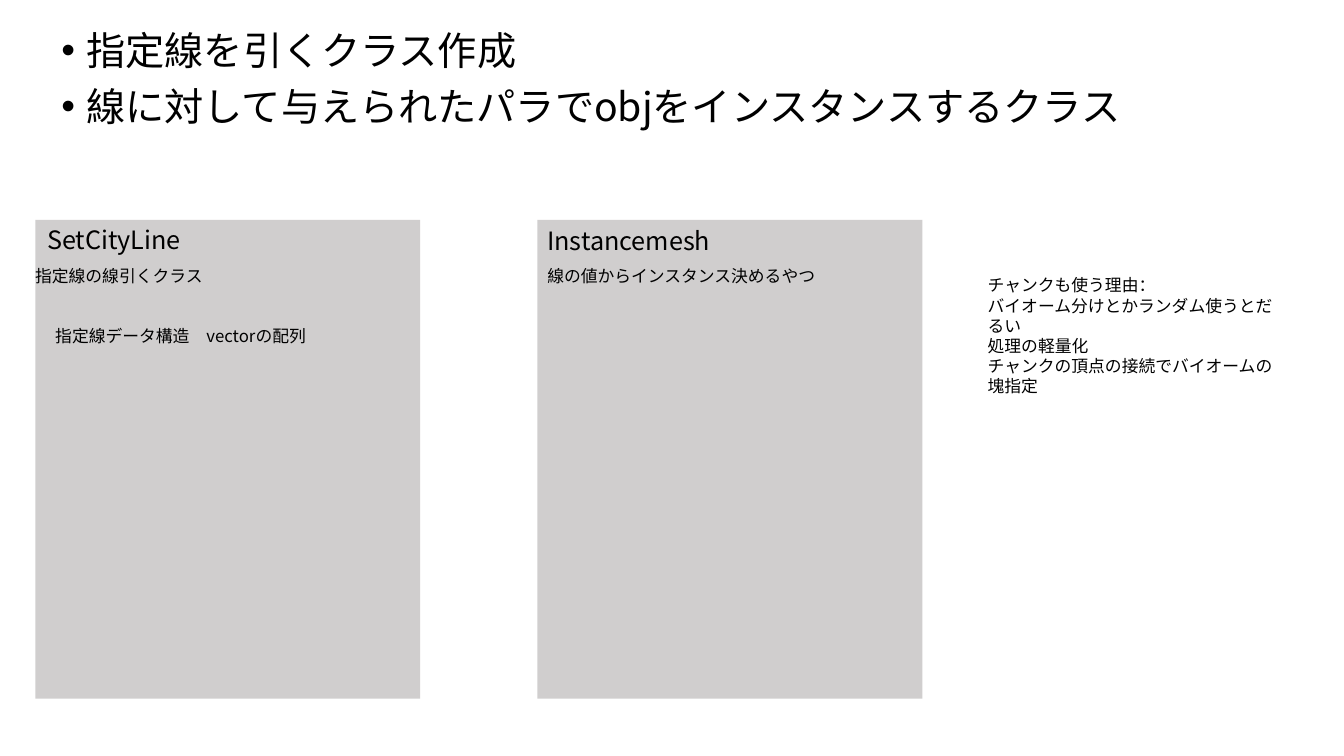
import pptx
import pptx.util
import pptx.dml.color
import pptx.enum.shapes
import pptx.oxml.ns
from lxml import etree

Pt = pptx.util.Pt

GOALS = [
    "指定線を引くクラス作成",
    "線に対して与えられたパラでobjをインスタンスするクラス",
]
CLASSES = [
    {
        "left": 25.2,
        "name": ("SetCityLine", 26.6, 157),
        "role": ("指定線の線引くクラス", 18, 138.2),
        "details": [("指定線データ構造　vectorの配列", 32.4, 229, 208.8)],
    },
    {
        "left": 383.8,
        "name": ("Instancemesh", 383.8, 157.7),
        "role": ("線の値からインスタンス決めるやつ", 383.8, 219.6),
        "details": [],
    },
]
CHUNK_REASONS = [
    "チャンクも使う理由：",
    "バイオーム分けとかランダム使うとだるい",
    "処理の軽量化",
    "チャンクの頂点の接続でバイオームの塊指定",
]

THEME = {
    "font": "Noto Sans CJK JP",
    "ink": "000000",
    "panel": "D0CECE",
    "goal": 28,
    "name": 18,
    "body": 12,
}
PANEL_TOP, PANEL_WIDTH, PANEL_HEIGHT = 157, 275, 342
NAME_WIDTH, NAME_HEIGHT = 146.9, 29
ROLE_TOP, LINE_HEIGHT = 186.2, 21.8


def add_tag(parent, tag, **attributes):
    return etree.SubElement(parent, pptx.oxml.ns.qn(tag), attributes)


def add_text(slide, lines, left, top, width, height, size,
             bullet=None, indent=18, line_spacing=None, gap=0):
    box = slide.shapes.add_textbox(Pt(left), Pt(top), Pt(width), Pt(height))
    frame = box.text_frame
    frame.word_wrap = True
    for index, line in enumerate(lines):
        paragraph = frame.paragraphs[0] if index == 0 else frame.add_paragraph()
        if bullet:
            properties = paragraph._p.get_or_add_pPr()
            properties.set("marL", str(Pt(indent)))
            properties.set("indent", str(-Pt(indent)))
            add_tag(properties, "a:buFont", typeface="Arial")
            add_tag(properties, "a:buChar", char=bullet)
        if line_spacing:
            paragraph.line_spacing = line_spacing
        if gap and index:
            paragraph.space_before = Pt(gap)
        run = paragraph.add_run()
        run.text = line
        run.font.size = Pt(size)
        run.font.color.rgb = pptx.dml.color.RGBColor.from_string(THEME["ink"])
        run.font.name = THEME["font"]
        add_tag(run._r.get_or_add_rPr(), "a:ea", typeface=THEME["font"])


def add_panel(slide, left):
    panel = slide.shapes.add_shape(
        pptx.enum.shapes.MSO_SHAPE.RECTANGLE,
        Pt(left), Pt(PANEL_TOP), Pt(PANEL_WIDTH), Pt(PANEL_HEIGHT))
    panel.shadow.inherit = False
    panel.fill.solid()
    panel.fill.fore_color.rgb = pptx.dml.color.RGBColor.from_string(THEME["panel"])
    panel.line.fill.background()


def add_class(slide, entry):
    add_panel(slide, entry["left"])
    name, left, top = entry["name"]
    add_text(slide, [name], left, top, NAME_WIDTH, NAME_HEIGHT, THEME["name"])
    role, left, width = entry["role"]
    add_text(slide, [role], left, ROLE_TOP, width, LINE_HEIGHT, THEME["body"])
    for detail, left, top, width in entry["details"]:
        add_text(slide, [detail], left, top, width, LINE_HEIGHT, THEME["body"])


def main():
    deck = pptx.Presentation()
    deck.slide_width, deck.slide_height = Pt(960), Pt(540)
    slide = deck.slides.add_slide(deck.slide_layouts[6])
    for entry in CLASSES:
        add_class(slide, entry)
    add_text(slide, GOALS, 36.7, 18.7, 828, 181.4, THEME["goal"],
             bullet="•", line_spacing=0.9, gap=10)
    add_text(slide, CHUNK_REASONS, 698.4, 193, 219.6, 94.3, THEME["body"])
    deck.save("out.pptx")


if __name__ == "__main__":
    main()
